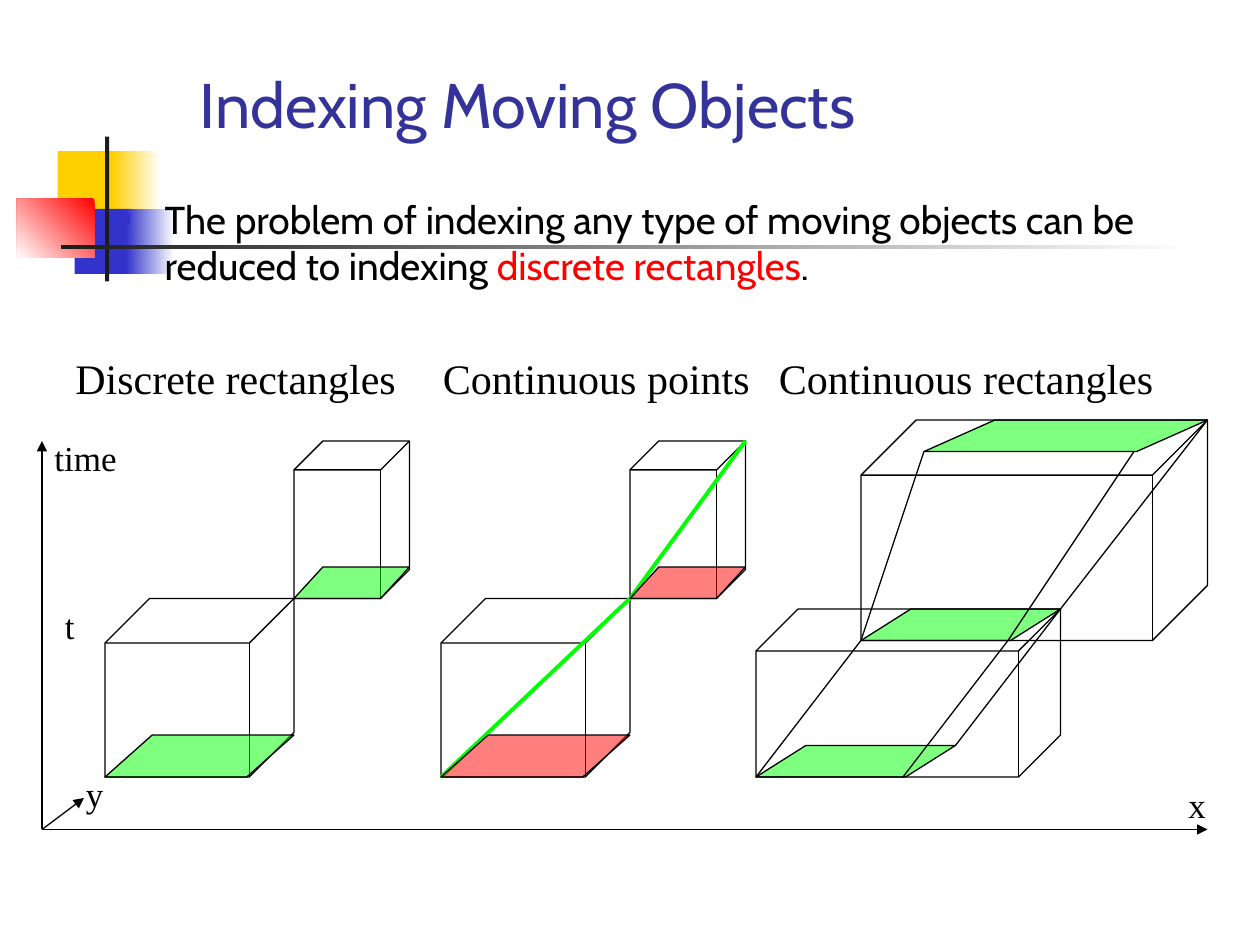
from lxml.etree import SubElement
from pptx import Presentation
from pptx.dml.color import RGBColor
from pptx.enum.shapes import MSO_CONNECTOR, MSO_SHAPE
from pptx.enum.text import MSO_ANCHOR, MSO_AUTO_SIZE, PP_ALIGN
from pptx.oxml.ns import qn
from pptx.util import Cm, Pt

UNIT = 2.54 / 12  # the slide grid: twelve steps to the inch
BLACK, GREEN, RED, BLUE = "000000", "00FF00", "FF0000", "3333CC"


def rgb(code):
    return RGBColor.from_string(code)


def grid(*steps):
    return [Cm(step * UNIT) for step in steps]


class Board:
    """Holds the slide and its style; all places are in grid steps."""

    def __init__(self, slide):
        self.slide = slide
        self.shapes = slide.shapes
        self.sans = "Cabin"
        self.serif = "Times New Roman"
        self.thin = 0.75

    def block(self, place, first, last=None, angle=0):
        """Borderless rectangle, plain or with a gradient (clockwise angle)."""
        box = self.shapes.add_shape(MSO_SHAPE.RECTANGLE, *grid(*place))
        box.shadow.inherit = False
        box.line.fill.background()
        if last is None:
            box.fill.solid()
            box.fill.fore_color.rgb = rgb(first)
            return
        box.fill.gradient()
        box.fill.gradient_angle = 360 - angle
        for stop, code in zip(box.fill.gradient_stops, (first, last)):
            stop.color.rgb = rgb(code)

    def solid(self, kind, place, slant):
        shape = self.shapes.add_shape(kind, *grid(*place))
        shape.shadow.inherit = False
        shape.adjustments[0] = slant
        shape.line.color.rgb = rgb(BLACK)
        shape.line.width = Pt(self.thin)
        return shape

    def cube(self, *place):
        self.solid(MSO_SHAPE.CUBE, place, 0.25).fill.background()

    def patch(self, code, left, top, width, height):
        """Half-clear parallelogram leaning by a quarter of its width."""
        shape = self.solid(MSO_SHAPE.PARALLELOGRAM, (left, top, width, height),
                           width / 4 / height)
        shape.fill.solid()
        shape.fill.fore_color.rgb = rgb(code)
        tint = shape.fill._xPr.find(".//" + qn("a:srgbClr"))
        SubElement(tint, qn("a:alpha"), val="50000")

    def line(self, start, end, code=BLACK, width=None, arrow=False):
        link = self.shapes.add_connector(
            MSO_CONNECTOR.STRAIGHT, *grid(*start, *end))
        link.line.color.rgb = rgb(code)
        link.line.width = Pt(width or self.thin)
        if arrow:
            SubElement(link.line._ln, qn("a:tailEnd"), type="triangle")
        SubElement(link.element.spPr, qn("a:effectLst"))

    def label(self, text, place, size=20):
        box = self.shapes.add_textbox(*grid(*place))
        frame = box.text_frame
        frame.word_wrap = True
        frame.auto_size = MSO_AUTO_SIZE.SHAPE_TO_FIT_TEXT
        para = frame.paragraphs[0]
        para.text = text
        self.font(para, self.serif, size, BLACK)

    def font(self, para, name, size, code=None):
        para.font.name = name
        para.font.size = Pt(size)
        if code:
            para.font.color.rgb = rgb(code)

    def holder(self, index, place, anchor):
        """Bring a placeholder to the front and return its first paragraph."""
        box = self.slide.placeholders[index]
        self.shapes.element.append(box.element)
        box.left, box.top, box.width, box.height = grid(*place)
        frame = box.text_frame
        frame.auto_size = MSO_AUTO_SIZE.NONE
        frame.vertical_anchor = anchor
        para = frame.paragraphs[0]
        para.alignment = PP_ALIGN.LEFT
        para.space_before = Pt(0)
        return para

    def title(self, text, place):
        para = self.holder(0, place, MSO_ANCHOR.BOTTOM)
        para.text = text
        self.font(para, self.sans, 36, "333399")

    def body(self, parts, place):
        para = self.holder(1, place, MSO_ANCHOR.TOP)
        props = para._p.get_or_add_pPr()
        indent = Cm(0.95)
        props.set("marL", str(indent))
        props.set("indent", str(-indent))
        tint = SubElement(props, qn("a:buClr"))
        SubElement(tint, qn("a:srgbClr"), val=BLUE)
        SubElement(props, qn("a:buSzPct"), val="60000")
        SubElement(props, qn("a:buChar"), char="■")
        self.font(para, self.sans, 22.2)
        for text, code in parts:
            run = para.add_run()
            run.text = text
            run.font.color.rgb = rgb(code)


def decor(board):
    for place, code in (((5.5, 14.4, 5.8, 6.2), "FFCF01"),
                        ((7.1, 19.9, 5.5, 6.2), BLUE)):
        left, top, width, height = place
        board.block(place, code)
        fade = left + width - 0.6
        board.block((fade, top, 4.6, height), "FFFFFF", code, 180)
    board.block((1.6, 18.95, 7.4, 5.6), RED, "FFFFFF", 135)
    board.block((10, 13, 0.4, 13.8), "1C1C1C")
    board.block((5.8, 23.35, 108, 0.4), "FFFFFF", "1C1C1C", 180)


def pair(board, left, code, track=False):
    """Two stacked cubes with tinted floors, with or without a point's track."""
    mid, end = left + 18, left + 29
    board.cube(left, 57, 18, 17)
    board.cube(mid, 42, 11, 15)
    if track:
        board.line((left, 74), (mid, 57), GREEN, 2.25)
        board.line((mid, 57), (end, 42), GREEN, 2.25)
    board.patch(code, left, 70, 18, 4)
    board.patch(code, mid, 54, 11, 3)


def sweep(board):
    """Rectangle that moves and grows through two cubes."""
    for place in ((72, 71, 19, 3), (82, 58, 19, 3), (88, 40, 27, 3)):
        board.patch(GREEN, *place)
    # each corner of the rectangle at the three moments
    for path in (((72, 74), (82, 61), (88, 43)),
                 ((86, 74), (96, 61), (108, 43)),
                 ((91, 71), (101, 58), (115, 40))):
        for start, end in zip(path, path[1:]):
            board.line(start, end)
    board.cube(72, 58, 29, 16)
    board.cube(82, 40, 33, 21)


def main():
    deck = Presentation()
    deck.slide_width, deck.slide_height = Cm(25.4), Cm(19.05)
    board = Board(deck.slides.add_slide(deck.slide_layouts[1]))

    decor(board)
    board.title("Indexing Moving Objects", (17.8, 6, 102.2, 8))
    board.body([("The problem of indexing any type of moving objects can be "
                 "reduced to indexing ", BLACK),
                ("discrete rectangles", RED), (".", BLACK)],
               (10, 18, 102, 15))

    pair(board, 10, GREEN)
    pair(board, 42, RED, track=True)
    sweep(board)

    for end in ((115, 79), (8, 76), (4, 42)):
        board.line((4, 79), end, arrow=True)

    for text, left, width in (("Discrete rectangles", 6, 38),
                              ("Continuous points", 41, 38),
                              ("Continuous rectangles", 73, 41)):
        board.label(text, (left, 33, width, 6), 24)
    for text, left, top, width in (("x", 112, 74, 5), ("y", 7, 73, 5),
                                   ("time", 4, 41, 13), ("t", 5, 57, 13)):
        board.label(text, (left, top, width, 5.3))

    deck.save("out.pptx")


if __name__ == "__main__":
    main()
